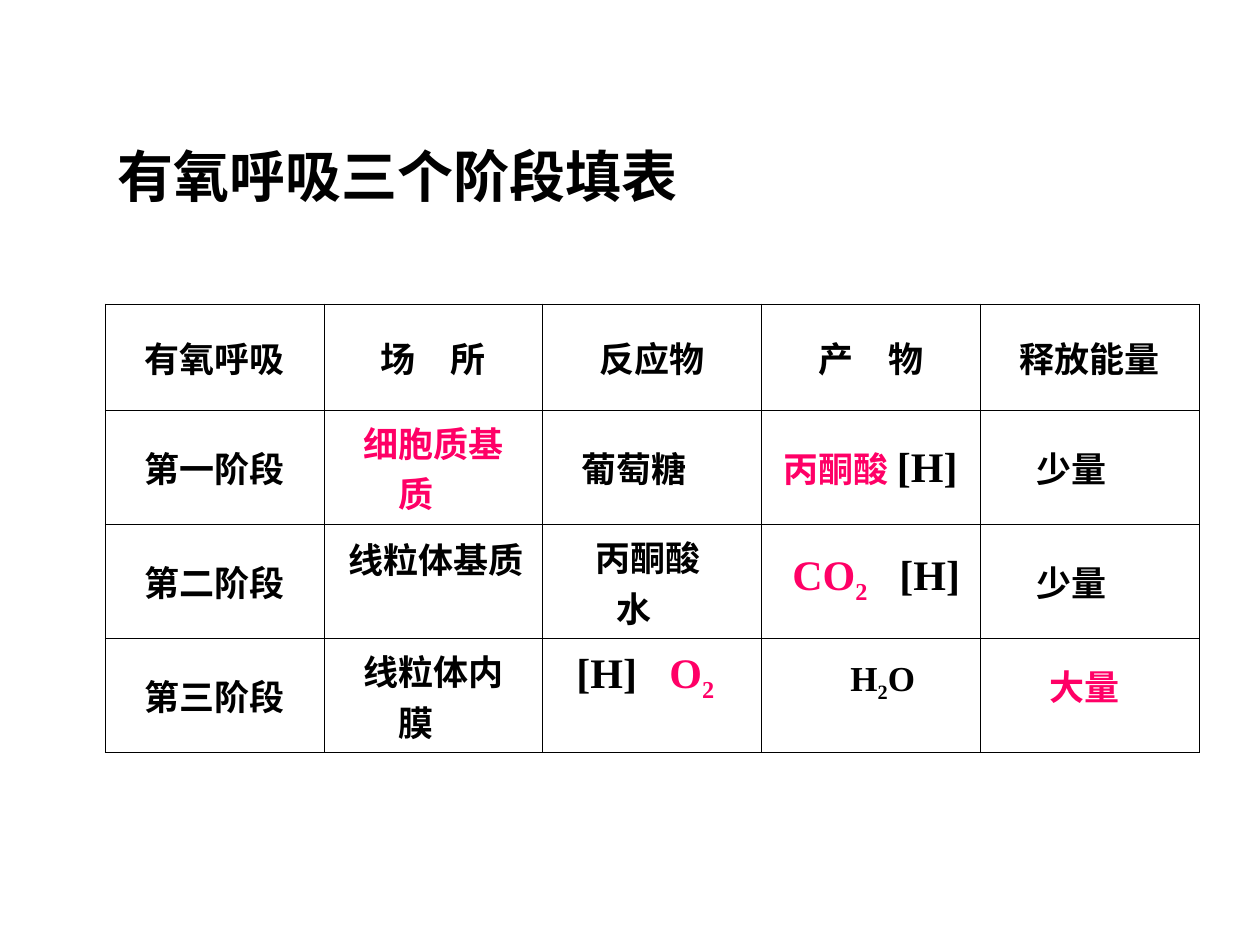
"""Build a slide with a table of the three stages of aerobic respiration."""
from lxml import etree
from pptx import Presentation
from pptx.dml.color import RGBColor
from pptx.enum.text import MSO_ANCHOR, MSO_AUTO_SIZE, PP_ALIGN
from pptx.oxml.ns import qn
from pptx.util import Emu, Pt

CENTER, LEFT = PP_ALIGN.CENTER, PP_ALIGN.LEFT
TOP, MIDDLE = MSO_ANCHOR.TOP, MSO_ANCHOR.MIDDLE
NO_AUTOFIT = MSO_AUTO_SIZE.NONE
BLACK = RGBColor(0x00, 0x00, 0x00)
PINK = RGBColor(0xFF, 0x00, 0x66)
FONT_NAME = "Times New Roman"
BORDER_WIDTH = Pt(0.34)
PX_PER_INCH = 126
TITLE_ONLY = 5

TITLE = "有氧呼吸三个阶段填表"
TITLE_BOX = (105, 135, 635, 81)
TABLE_BOX = (105, 304, 1094, 426)
ROW_HEIGHTS = (106, 106, 106, 108)

ROWS = [
    ["有氧呼吸", "场　所", "反应物", "产　物", "释放能量"],
    ["第一阶段", [("细胞质基质　", 20, PINK)], "葡萄糖　",
     [("丙酮酸 ", 20, PINK), ("[H]", 24, BLACK)], "少量　"],
    ["第二阶段", "", "丙酮酸 \v水　", "", "少量　"],
    ["第三阶段", "线粒体内膜　", "", "", ""],
]

ANSWERS = [
    {"box": (780, 542, 198, 71), "tab": 107,
     "runs": [("CO", 24, PINK), ("2", 24, PINK, True), ("\t[H]", 24, BLACK)]},
    {"box": (336, 532, 210, 55), "runs": [("线粒体基质", 20, BLACK)]},
    {"box": (838, 650, 99, 60),
     "runs": [("H", 20, BLACK), ("2", 20, BLACK, True), ("O", 20, BLACK)]},
    {"box": (1037, 659, 105, 55), "runs": [("大量", 20, PINK)]},
    {"box": (564, 640, 183, 71), "tab": 93,
     "runs": [("[H]\t", 24, BLACK), ("O", 24, PINK), ("2", 24, PINK, True)]},
]


def px(length):
    return Emu(round(length * 914400 / PX_PER_INCH))


def box_emu(box):
    return [px(length) for length in box]


def set_values(target, values):
    for name, value in values.items():
        setattr(target, name, value)


def style_font(font, size, color):
    set_values(font, {"name": FONT_NAME, "size": Pt(size), "bold": True})
    font.color.rgb = color


def add_runs(paragraph, runs):
    for text, size, color, *subscript in runs:
        for index, line in enumerate(text.split("\v")):
            if index:
                paragraph.add_line_break()
            run = paragraph.add_run()
            run.text = line
            style_font(run.font, size, color)
            if subscript:
                run._r.get_or_add_rPr().set("baseline", "-25000")


def add_tab_stop(paragraph, position):
    tab_list = etree.SubElement(paragraph._p.get_or_add_pPr(), qn("a:tabLst"))
    etree.SubElement(tab_list, qn("a:tab"), pos=str(px(position)), algn="l")


def add_borders(cell):
    properties = cell._tc.get_or_add_tcPr()
    for index, side in enumerate(("lnL", "lnR", "lnT", "lnB")):
        line = etree.Element(qn(f"a:{side}"), w=str(BORDER_WIDTH))
        fill = etree.SubElement(line, qn("a:solidFill"))
        etree.SubElement(fill, qn("a:srgbClr"), val=str(BLACK))
        properties.insert(index, line)


def add_title(slide):
    title = slide.shapes.title
    set_values(title, dict(zip(("left", "top", "width", "height"), box_emu(TITLE_BOX))))
    set_values(title.text_frame, {"vertical_anchor": TOP, "auto_size": NO_AUTOFIT,
                                  "word_wrap": True})
    paragraph = title.text_frame.paragraphs[0]
    paragraph.alignment = LEFT
    add_runs(paragraph, [(TITLE, 32, BLACK)])


def add_stage_table(slide):
    frame = slide.shapes.add_table(len(ROWS), len(ROWS[0]), *box_emu(TABLE_BOX))
    table = frame.table
    set_values(table, {"first_row": False, "horz_banding": False})
    for row, height in zip(table.rows, ROW_HEIGHTS):
        row.height = px(height)
    for row, contents in zip(table.rows, ROWS):
        for cell, content in zip(row.cells, contents):
            cell.vertical_anchor = MIDDLE
            cell.fill.background()
            add_borders(cell)
            paragraph = cell.text_frame.paragraphs[0]
            paragraph.alignment = CENTER
            if content:
                runs = [(content, 20, BLACK)] if isinstance(content, str) else content
                add_runs(paragraph, runs)


def add_answer(slide, answer):
    frame = slide.shapes.add_textbox(*box_emu(answer["box"])).text_frame
    frame.word_wrap = True
    paragraph = frame.paragraphs[0]
    if "tab" in answer:
        add_tab_stop(paragraph, answer["tab"])
    add_runs(paragraph, answer["runs"])


def main():
    presentation = Presentation()
    set_values(presentation, {"slide_width": px(1260), "slide_height": px(945)})
    slide = presentation.slides.add_slide(presentation.slide_layouts[TITLE_ONLY])
    add_title(slide)
    add_stage_table(slide)
    for answer in ANSWERS:
        add_answer(slide, answer)
    presentation.save("out.pptx")


if __name__ == "__main__":
    main()
